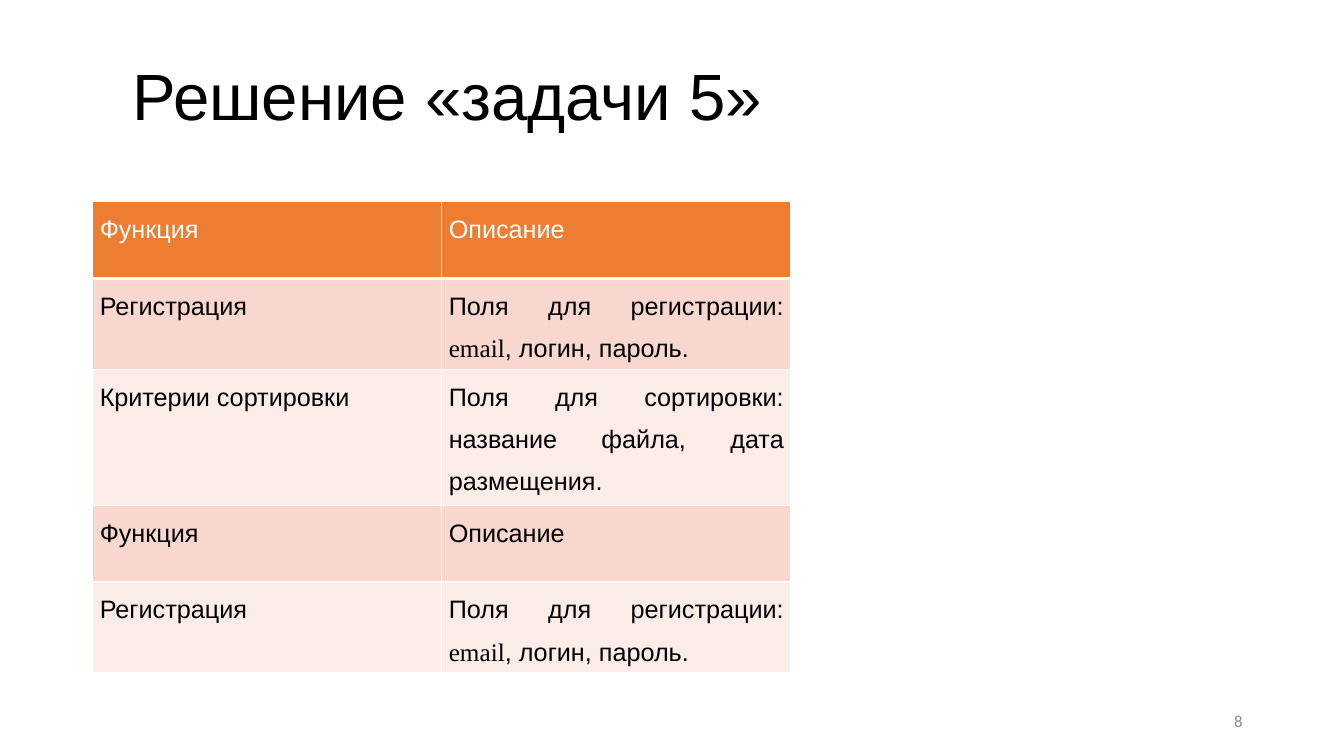
from lxml import etree
from pptx import Presentation
from pptx.dml.color import RGBColor
from pptx.enum.text import MSO_ANCHOR, MSO_AUTO_SIZE, PP_ALIGN
from pptx.oxml.ns import qn
from pptx.util import Inches, Pt

MIDDLE = MSO_ANCHOR.MIDDLE
FIXED = MSO_AUTO_SIZE.NONE
LEFT, RIGHT, JUSTIFY = PP_ALIGN.LEFT, PP_ALIGN.RIGHT, PP_ALIGN.JUSTIFY
TITLE_ONLY = 5
WIDE, HIGH = 13.33, 7.5
COLORS = {"ink": "000000", "paper": "FFFFFF", "head": "ED7D31",
          "odd": "F8D7CE", "even": "FCECE8", "page": "8C8C8C"}
SANS, SERIF, SMALL = "Arial", "Times New Roman", "Calibri"

SIGN_UP = ["Регистрация"], ["Поля для регистрации: ", ("email", SERIF),
                            ", логин, пароль."]
HEADS = ["Функция"], ["Описание"]
SORTING = (["Критерии сортировки"],
           ["Поля для сортировки: название файла, дата размещения."])
ROWS = [HEADS, SIGN_UP, SORTING, HEADS, SIGN_UP]


def tint(name):
    return RGBColor.from_string(COLORS[name])


def box(left, top, width, height):
    """Turn percentages of the slide's size into lengths."""
    return [Inches(share * side / 100) for share, side in
            zip((left, top, width, height), (WIDE, HIGH, WIDE, HIGH))]


class Deck:
    def __init__(self):
        self.file = Presentation()
        self.file.slide_width = Inches(WIDE)
        self.file.slide_height = Inches(HIGH)
        layout = self.file.slide_layouts[TITLE_ONLY]
        self.slide = self.file.slides.add_slide(layout)

    def text(self, frame, runs, size, color, align, space=1.0, font=SANS):
        """Add runs, each a string or a (string, font) pair."""
        frame.word_wrap = True
        para = frame.paragraphs[0]
        para.alignment, para.line_spacing = align, space
        for item in runs:
            words, face = (item, font) if isinstance(item, str) else item
            run = para.add_run()
            run.text = words
            run.font.name, run.font.size = face, Pt(size)
            run.font.color.rgb = tint(color)

    def title(self, words, area):
        shape = self.slide.shapes.title
        shape.left, shape.top, shape.width, shape.height = area
        frame = shape.text_frame
        frame.auto_size, frame.vertical_anchor = FIXED, MIDDLE
        self.text(frame, [words], 46.7, "ink", LEFT, 0.9)

    def number(self, words, area):
        frame = self.slide.shapes.add_textbox(*area).text_frame
        frame.vertical_anchor = MIDDLE
        self.text(frame, [words], 12, "page", RIGHT, font=SMALL)

    def border(self, cell, side, width):
        props = cell._tc.get_or_add_tcPr()
        line = etree.SubElement(props, qn("a:ln" + side), w=str(Pt(width)))
        fill = etree.SubElement(line, qn("a:solidFill"))
        etree.SubElement(fill, qn("a:srgbClr"), val=COLORS["paper"])

    def table(self, rows, area):
        shape = self.slide.shapes.add_table(len(rows), len(rows[0]), *area)
        for i, row in enumerate(rows):
            back = "head" if i == 0 else "odd" if i % 2 else "even"
            for j, runs in enumerate(row):
                cell = shape.table.cell(i, j)
                cell.margin_left = cell.margin_right = Inches(0.07)
                cell.margin_top = cell.margin_bottom = 0
                for side in "LRTB":
                    thick = i == 0 and side == "B"
                    self.border(cell, side, 3 if thick else 1)
                cell.fill.solid()
                cell.fill.fore_color.rgb = tint(back)
                color = "ink" if i else "paper"
                self.text(cell.text_frame, runs, 18, color, JUSTIFY, 1.5)


def main():
    deck = Deck()
    deck.title("Решение «задачи 5»", box(9.1, 7.1, 89.3, 12.1))
    deck.number("8", box(70.7, 92.7, 22.5, 5.3))
    deck.table(ROWS, box(6.9, 26.7, 51.95, 50.7))
    deck.file.save("out.pptx")


if __name__ == "__main__":
    main()
